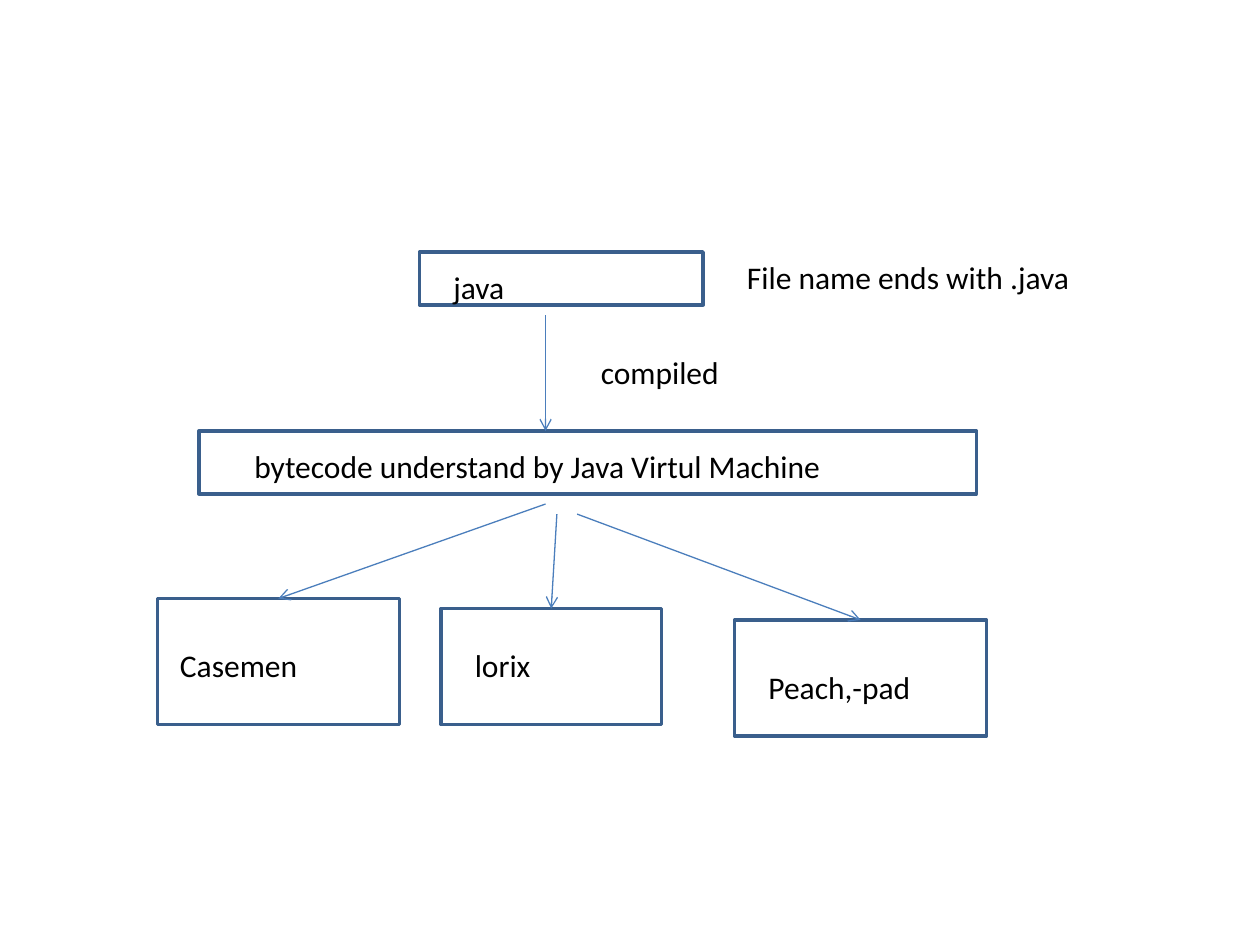
from lxml.etree import SubElement
from pptx import Presentation
from pptx.dml.color import RGBColor
from pptx.enum.shapes import MSO_CONNECTOR as CONNECTOR, MSO_SHAPE as SHAPE
from pptx.oxml.ns import qn
from pptx.util import Inches, Pt

COLORS = {"border": "3A5F8C", "arrow": "4B7EBC", "text": "000000"}
FONT = "Calibri"

# Boxes: left, top, width, height
SOURCE = (3.33, 2, 2.25, 0.42)
BYTECODE = (1.58, 3.42, 6.17, 0.5)
PLATFORMS = [
    (1.25, 4.75, 1.92, 1),
    (3.5, 4.83, 1.75, 0.92),
    (5.83, 4.92, 2, 0.92),
]

# Labels: text, left, top, width, height
LABELS = [
    ("java", 3.5, 2.08, 2, 0.4),
    ("File name ends with .java", 5.83, 2, 3.17, 0.4),
    ("compiled", 4.67, 2.75, 1.5, 0.4),
    ("bytecode understand by Java Virtul Machine", 1.92, 3.5, 5.33, 0.4),
    ("Casemen", 1.33, 5.08, 1.92, 0.42),
    ("lorix", 3.67, 5.08, 1.33, 0.42),
    ("Peach,-pad", 6, 5.25, 2.58, 0.42),
]

# Where the arrows leave the source and the bytecode
COMPILE_START = (4.33, 2.5)
PLATFORM_STARTS = [(4.33, 4), (4.42, 4.08), (4.58, 4.08)]


def color(name):
    return RGBColor.from_string(COLORS[name])


def add_box(slide, bounds):
    box = slide.shapes.add_shape(SHAPE.RECTANGLE, *map(Inches, bounds))
    box.shadow.inherit = False
    box.fill.background()
    box.line.color.rgb = color("border")
    box.line.width = Pt(2)


def add_label(slide, text, *bounds):
    frame = slide.shapes.add_textbox(*map(Inches, bounds)).text_frame
    frame.word_wrap = True
    run = frame.paragraphs[0].add_run()
    run.text = text
    run.font.name = FONT
    run.font.size = Pt(18)
    run.font.color.rgb = color("text")


def add_arrow(slide, start, end):
    arrow = slide.shapes.add_connector(CONNECTOR.STRAIGHT, *map(Inches, start + end))
    arrow.line.color.rgb = color("arrow")
    arrow.line.width = Pt(0.75)
    SubElement(arrow.line._get_or_add_ln(), qn("a:tailEnd"), type="arrow")
    SubElement(arrow._element.spPr, qn("a:effectLst"))


def top_center(bounds):
    left, top, width, _ = bounds
    return left + width / 2, top


def main():
    prs = Presentation()
    prs.slide_width, prs.slide_height = Inches(10), Inches(7.5)
    slide = prs.slides.add_slide(prs.slide_layouts[6])

    # Boxes
    for bounds in [*PLATFORMS, BYTECODE, SOURCE]:
        add_box(slide, bounds)

    # Arrows: straight down to the bytecode, then out to each platform
    add_arrow(slide, COMPILE_START, (COMPILE_START[0], BYTECODE[1]))
    for start, platform in zip(PLATFORM_STARTS, PLATFORMS):
        add_arrow(slide, start, top_center(platform))

    # Labels
    for label in LABELS:
        add_label(slide, *label)

    prs.save("out.pptx")


if __name__ == "__main__":
    main()
